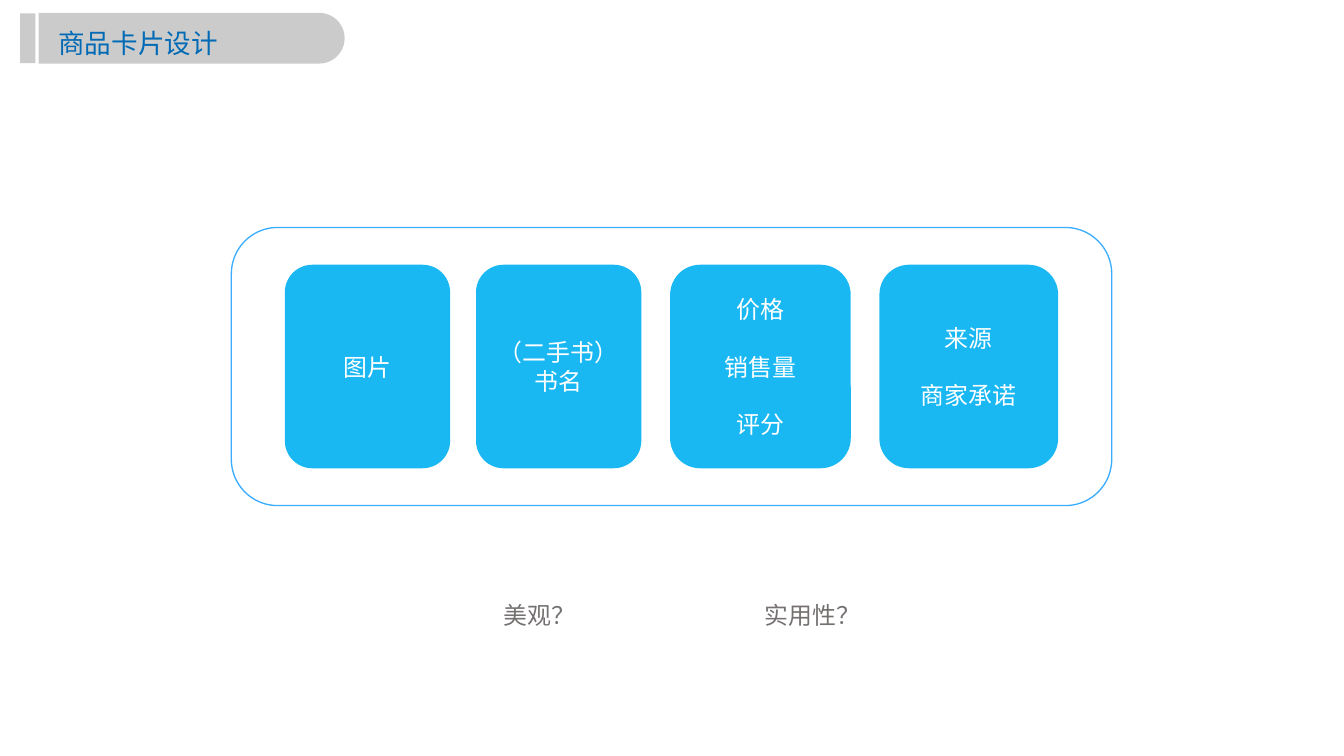
from dataclasses import dataclass

from lxml.etree import SubElement
from pptx import Presentation
from pptx.dml.color import RGBColor
from pptx.enum.shapes import MSO_SHAPE
from pptx.enum.text import MSO_ANCHOR, PP_ALIGN
from pptx.oxml.ns import qn
from pptx.shapes.autoshape import Shape
from pptx.text.text import TextFrame
from pptx.util import Inches, Pt


@dataclass(frozen=True)
class Theme:
    font: str = "Noto Sans CJK SC"
    banner: str = "BFBFBF"
    banner_opacity: int = 80
    title: str = "006AB6"
    frame_fill: str = "FFFFFF"
    frame_line: str = "3AADFF"
    card: str = "1AB8F3"
    card_text: str = "FFFFFF"
    question: str = "767171"
    title_size: float = 20
    body_size: float = 18
    card_gap: float = 21.6


@dataclass(frozen=True)
class Box:
    left: float
    top: float
    width: float
    height: float


@dataclass(frozen=True)
class Card:
    left: float
    width: float
    lines: tuple[str, ...]


@dataclass(frozen=True)
class Question:
    left: float
    width: float
    text: str


THEME = Theme()
CARD_TOP, CARD_HEIGHT = 2.77, 2.13
QUESTION_TOP, QUESTION_HEIGHT = 6.24, 0.4

CARDS = [
    Card(2.98, 1.73, ("图片",)),
    Card(4.98, 1.73, ("（二手书）书名",)),
    Card(7.01, 1.89, ("价格", "销售量", "评分")),
    Card(9.2, 1.87, ("来源", "商家承诺")),
]
QUESTIONS = [
    Question(5.17, 0.96, "美观？"),
    Question(7.9, 1.21, "实用性？"),
]


def place(box: Box) -> tuple[int, ...]:
    return tuple(Inches(n) for n in (box.left, box.top, box.width, box.height))


def add_block(slide, kind: MSO_SHAPE, box: Box, fill: str,
              line: str | None = None, opacity: int = 100) -> Shape:
    block = slide.shapes.add_shape(kind, *place(box))
    block.shadow.inherit = False
    block.fill.solid()
    block.fill.fore_color.rgb = RGBColor.from_string(fill)
    if opacity < 100:
        color = block._element.spPr.find(".//" + qn("a:srgbClr"))
        SubElement(color, qn("a:alpha"), val=str(opacity * 1000))
    if line:
        block.line.color.rgb = RGBColor.from_string(line)
        block.line.width = Pt(1)
    else:
        block.line.fill.background()
    return block


def write(frame: TextFrame, lines: tuple[str, ...], size: float, color: str,
          frame_format: dict, paragraph_format: dict, gap: float = 0) -> None:
    for name, value in frame_format.items():
        setattr(frame, name, value)
    for index, line in enumerate(lines):
        paragraph = frame.paragraphs[0] if index == 0 else frame.add_paragraph()
        for name, value in paragraph_format.items():
            setattr(paragraph, name, value)
        if index:
            paragraph.space_before = Pt(gap)
        run = paragraph.add_run()
        run.text = line
        for name, value in {"name": THEME.font, "size": Pt(size)}.items():
            setattr(run.font, name, value)
        run.font.color.rgb = RGBColor.from_string(color)
        # East Asian typeface
        SubElement(run._r.get_or_add_rPr(), qn("a:ea"), typeface=THEME.font)


def add_title(slide, text: str) -> None:
    # Banner: an upright tab turned so its round end points right
    banner = add_block(slide, MSO_SHAPE.ROUND_2_SAME_RECTANGLE,
                       Box(1.74, -1.2, 0.53, 3.2), THEME.banner,
                       opacity=THEME.banner_opacity)
    banner.adjustments[0] = 0.5
    banner.rotation = 90
    add_block(slide, MSO_SHAPE.RECTANGLE, Box(0.21, 0.14, 0.16, 0.52),
              THEME.banner, opacity=THEME.banner_opacity)
    heading = slide.shapes.add_textbox(*place(Box(0.54, 0.18, 3.11, 0.48)))
    insets = {"margin_left": Inches(0.07), "margin_right": Inches(0.07),
              "margin_top": Inches(0.04), "margin_bottom": Inches(0.04)}
    write(heading.text_frame, (text,), THEME.title_size, THEME.title,
          {"word_wrap": True, **insets}, {"line_spacing": 1.2})


def add_card(slide, card: Card) -> None:
    block = add_block(slide, MSO_SHAPE.ROUNDED_RECTANGLE,
                      Box(card.left, CARD_TOP, card.width, CARD_HEIGHT), THEME.card)
    write(block.text_frame, card.lines, THEME.body_size, THEME.card_text,
          {"word_wrap": True, "vertical_anchor": MSO_ANCHOR.MIDDLE},
          {"alignment": PP_ALIGN.CENTER}, THEME.card_gap)


def add_question(slide, question: Question) -> None:
    box = Box(question.left, QUESTION_TOP, question.width, QUESTION_HEIGHT)
    label = slide.shapes.add_textbox(*place(box))
    write(label.text_frame, (question.text,), THEME.body_size, THEME.question,
          {"word_wrap": False}, {"alignment": PP_ALIGN.LEFT})


def main() -> None:
    deck = Presentation()
    deck.slide_width, deck.slide_height = Inches(14.06), Inches(7.91)
    slide = deck.slides.add_slide(deck.slide_layouts[6])

    # Heading
    add_title(slide, "商品卡片设计")

    # Product card frame and its parts
    add_block(slide, MSO_SHAPE.ROUNDED_RECTANGLE, Box(2.42, 2.38, 9.21, 2.91),
              THEME.frame_fill, THEME.frame_line)
    for card in CARDS:
        add_card(slide, card)

    # Design questions
    for question in QUESTIONS:
        add_question(slide, question)

    deck.save("out.pptx")


if __name__ == "__main__":
    main()
